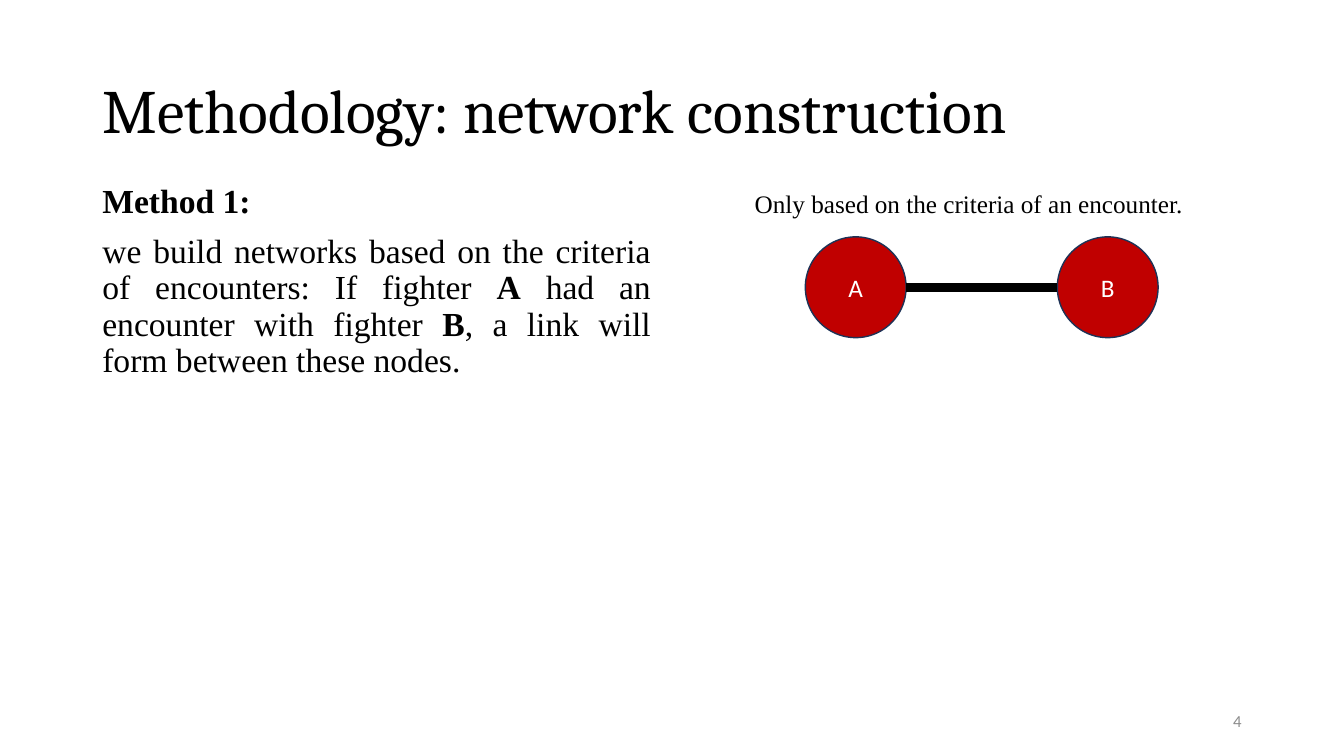
"""Build the network construction slide."""
from dataclasses import dataclass

from lxml import etree
from pptx import Presentation
from pptx.dml.color import RGBColor
from pptx.enum import shapes, text
from pptx.oxml import ns
from pptx.util import Pt


@dataclass(frozen=True)
class Theme:
    black: str = "000000"
    white: str = "FFFFFF"
    red: str = "C00000"
    navy: str = "1E3256"
    gray: str = "8C8C8C"
    head: str = "Cambria"
    serif: str = "Times New Roman"
    sans: str = "Calibri"
    title: int = 44
    body: int = 24
    label: int = 18
    small: int = 12


T = Theme()
ALIGN = text.PP_ALIGN
ANCHOR = text.MSO_ANCHOR


def style(font, name, size, color):
    font.name, font.size = name, Pt(size)
    font.color.rgb = RGBColor.from_string(color)


def add_title(slide, words, box):
    title = slide.shapes.title
    title.left, title.top, title.width, title.height = map(Pt, box)
    frame = title.text_frame
    frame.text = words
    frame.vertical_anchor = ANCHOR.MIDDLE
    para = frame.paragraphs[0]
    para.alignment, para.line_spacing = ALIGN.LEFT, 0.9
    style(para.runs[0].font, T.head, T.title, T.black)


def add_text(slide, box, paras, font, align=ALIGN.LEFT, space=1.0, gap=0,
             anchor=ANCHOR.TOP):
    frame = slide.shapes.add_textbox(*map(Pt, box)).text_frame
    frame.word_wrap = True
    frame.vertical_anchor = anchor
    for i, runs in enumerate(paras):
        para = frame.add_paragraph() if i else frame.paragraphs[0]
        para.alignment, para.line_spacing = align, space
        para.space_before = Pt(gap if i else 0)
        for words, bold in runs:
            run = para.add_run()
            run.text = words
            run.font.bold = bold
            style(run.font, *font)


def add_node(slide, name, left, top, size):
    node = slide.shapes.add_shape(
        shapes.MSO_SHAPE.OVAL, Pt(left), Pt(top), Pt(size), Pt(size))
    node.shadow.inherit = False
    node.fill.solid()
    node.fill.fore_color.rgb = RGBColor.from_string(T.red)
    node.line.color.rgb = RGBColor.from_string(T.navy)
    node.line.width = Pt(1)
    frame = node.text_frame
    frame.text = name
    frame.vertical_anchor = ANCHOR.MIDDLE
    para = frame.paragraphs[0]
    para.alignment = ALIGN.CENTER
    style(para.runs[0].font, T.sans, T.label, T.white)
    return node


def add_link(slide, start, end):
    mid = start.top + start.height // 2
    link = slide.shapes.add_connector(
        shapes.MSO_CONNECTOR.STRAIGHT,
        start.left + start.width, mid, end.left, mid)
    link.line.color.rgb = RGBColor.from_string(T.black)
    link.line.width = Pt(6.75)
    etree.SubElement(link._element.spPr, ns.qn("a:effectLst"))


def main():
    deck = Presentation()
    deck.slide_width, deck.slide_height = Pt(960), Pt(540)
    slide = deck.slides.add_slide(deck.slide_layouts[5])
    add_title(slide, "Methodology: network construction",
              (66, 28.75, 828, 104.4))
    method = [
        [("Method 1:", True)],
        [("we build networks based on the criteria of encounters: If fighter ",
          False),
         ("A", True),
         (" had an encounter with fighter ", False),
         ("B", True),
         (", a link will form between these nodes.", False)],
    ]
    add_text(slide, (66, 128, 406, 150.5), method,
             (T.serif, T.body, T.black), ALIGN.JUSTIFY, 0.9, 10)
    left, right = [add_node(slide, name, 575.25 + 180 * i, 169.2, 72)
                   for i, name in enumerate("AB")]
    add_text(slide, (532, 131, 340.5, 29),
             [[("Only based on the criteria of an encounter.", False)]],
             (T.serif, T.label, T.black))
    add_link(slide, left, right)
    add_text(slide, (678, 500.5, 216, 28.75), [[("4", False)]],
             (T.sans, T.small, T.gray), ALIGN.RIGHT, anchor=ANCHOR.MIDDLE)
    deck.save("out.pptx")


if __name__ == "__main__":
    main()
